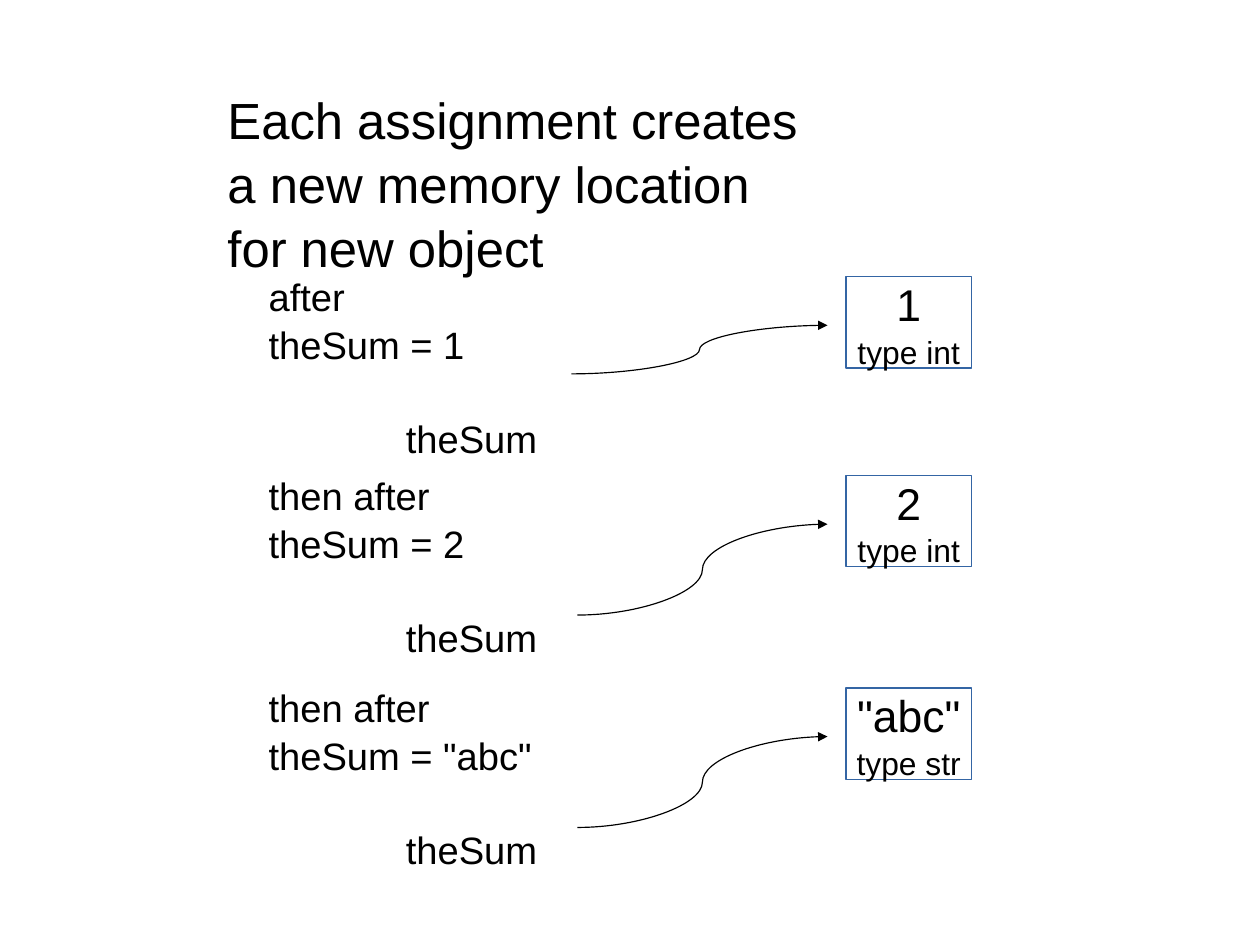
from dataclasses import dataclass

from lxml import etree
from pptx import Presentation
from pptx.dml.color import RGBColor
from pptx.enum import shapes, text
from pptx.oxml import ns
from pptx.util import Cm, Pt

BLACK, BLUE = "000000", "3465A4"
LEAD = 1.05


@dataclass
class Step:
    top: float
    code: list[str]
    value: str
    kind: str
    start: float
    drop: float


STEPS = [
    Step(6.15, ["after", "theSum = 1"], "1", "type int", 12.7, 2.16),
    Step(10.57, ["then after theSum = 2"], "2", "type int", 12.83, 3.1),
    Step(15.29, ['then after theSum = "abc"'], '"abc"', "type str", 12.83, 3.1),
]


def paint(color, code: str) -> None:
    color.rgb = RGBColor.from_string(code)


def style(par, size: float, align=text.PP_ALIGN.LEFT) -> None:
    par.alignment = align
    par.line_spacing = LEAD
    for run in par.runs:
        run.font.name = "Arial"
        run.font.size = Pt(size)
        paint(run.font.color, BLACK)


def add_title(slide) -> None:
    title = slide.shapes.title
    title.left, title.top = Cm(4.8), Cm(1.78)
    title.width, title.height = Cm(15.77), Cm(4.01)
    frame = title.text_frame
    frame.text = "Each assignment creates\va new memory location\vfor new object"
    frame.auto_size = text.MSO_AUTO_SIZE.NONE
    frame.vertical_anchor = text.MSO_ANCHOR.TOP
    style(frame.paragraphs[0], 32)


def add_code(slide, step: Step) -> None:
    box = slide.shapes.add_textbox(Cm(5.72), Cm(step.top - 0.25), Cm(7.11), Cm(4.83))
    frame = box.text_frame
    frame.word_wrap = True
    frame.text = "\n".join([*step.code, "theSum"])
    for par in frame.paragraphs:
        style(par, 24)
    name = frame.paragraphs[-1]
    name.space_before = Pt(29)
    props = name._p.get_or_add_pPr()
    props.set("marL", str(Cm(3.05)))
    props.set("indent", "0")


def add_object(slide, step: Step) -> None:
    box = slide.shapes.add_shape(
        shapes.MSO_SHAPE.RECTANGLE, Cm(18.8), Cm(step.top), Cm(2.79), Cm(2.03))
    box.shadow.inherit = False
    box.fill.background()
    paint(box.line.color, BLUE)
    box.line.width = Pt(0.75)
    frame = box.text_frame
    frame.word_wrap = False
    frame.vertical_anchor = text.MSO_ANCHOR.MIDDLE
    frame.text = f"{step.value}\n{step.kind}"
    for par, size in zip(frame.paragraphs, (28, 20)):
        style(par, size, text.PP_ALIGN.CENTER)


def add_arrow(slide, step: Step) -> None:
    arrow = slide.shapes.add_connector(
        shapes.MSO_CONNECTOR.CURVE, Cm(step.start), Cm(step.top + step.drop),
        Cm(18.39), Cm(step.top + 1.08))
    paint(arrow.line.color, BLACK)
    arrow.line.width = Pt(0.75)
    etree.SubElement(arrow.line._get_or_add_ln(), ns.qn("a:tailEnd"), type="triangle")
    etree.SubElement(arrow._element.spPr, ns.qn("a:effectLst"))


def main() -> None:
    deck = Presentation()
    deck.slide_width, deck.slide_height = Cm(28), Cm(21)
    slide = deck.slides.add_slide(deck.slide_layouts[5])
    add_title(slide)
    for step in STEPS:
        add_code(slide, step)
        add_object(slide, step)
        add_arrow(slide, step)
    deck.save("out.pptx")


if __name__ == "__main__":
    main()
